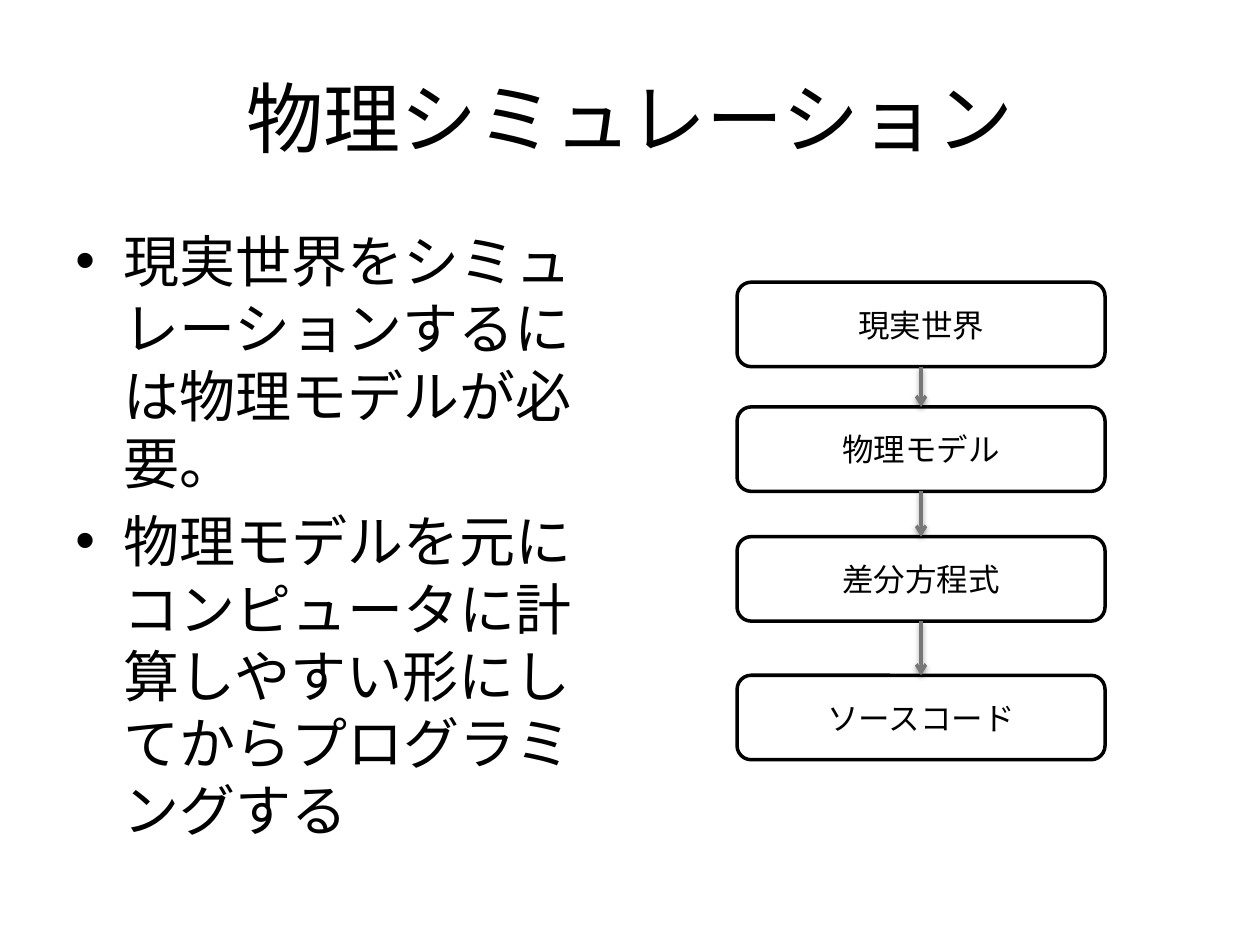
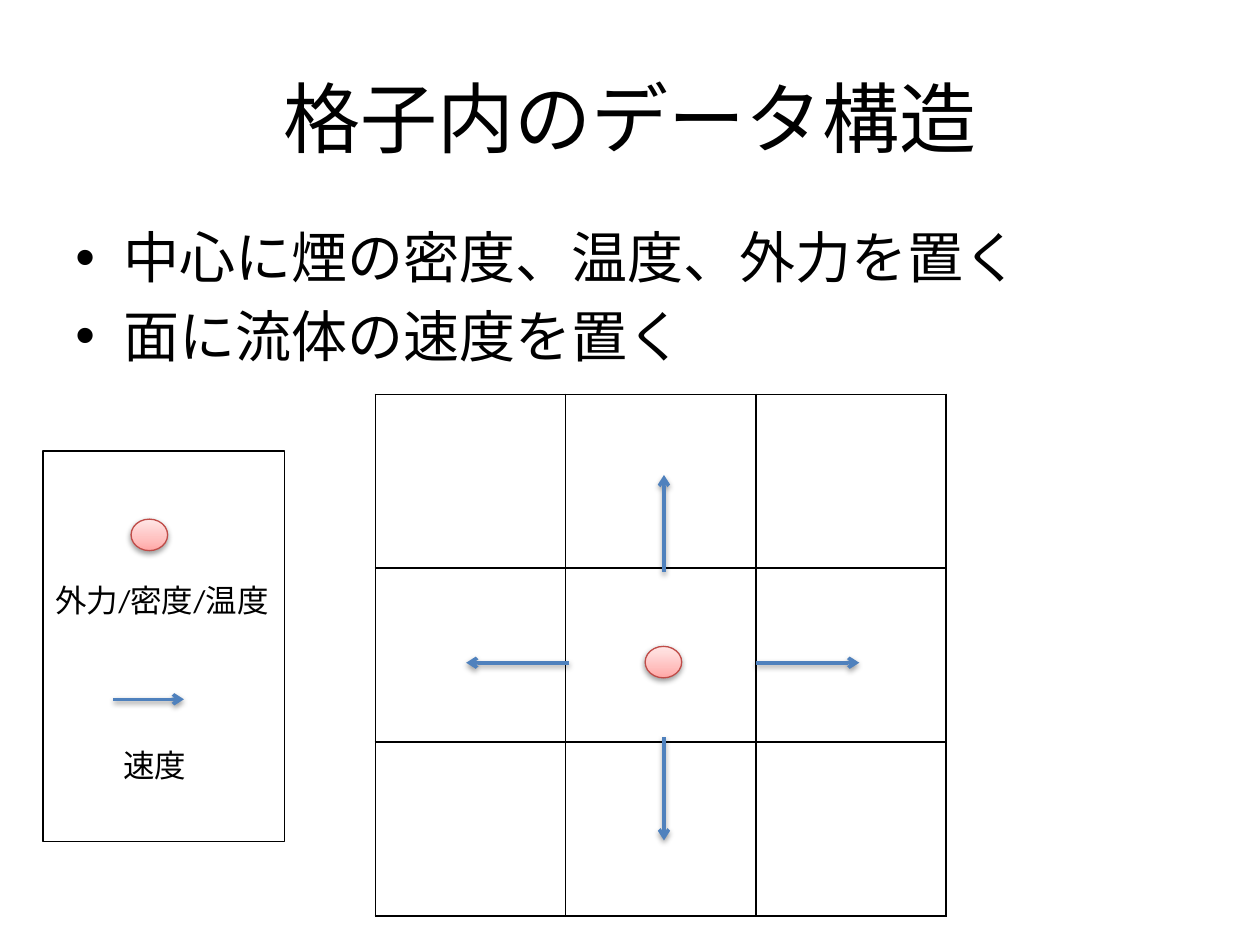
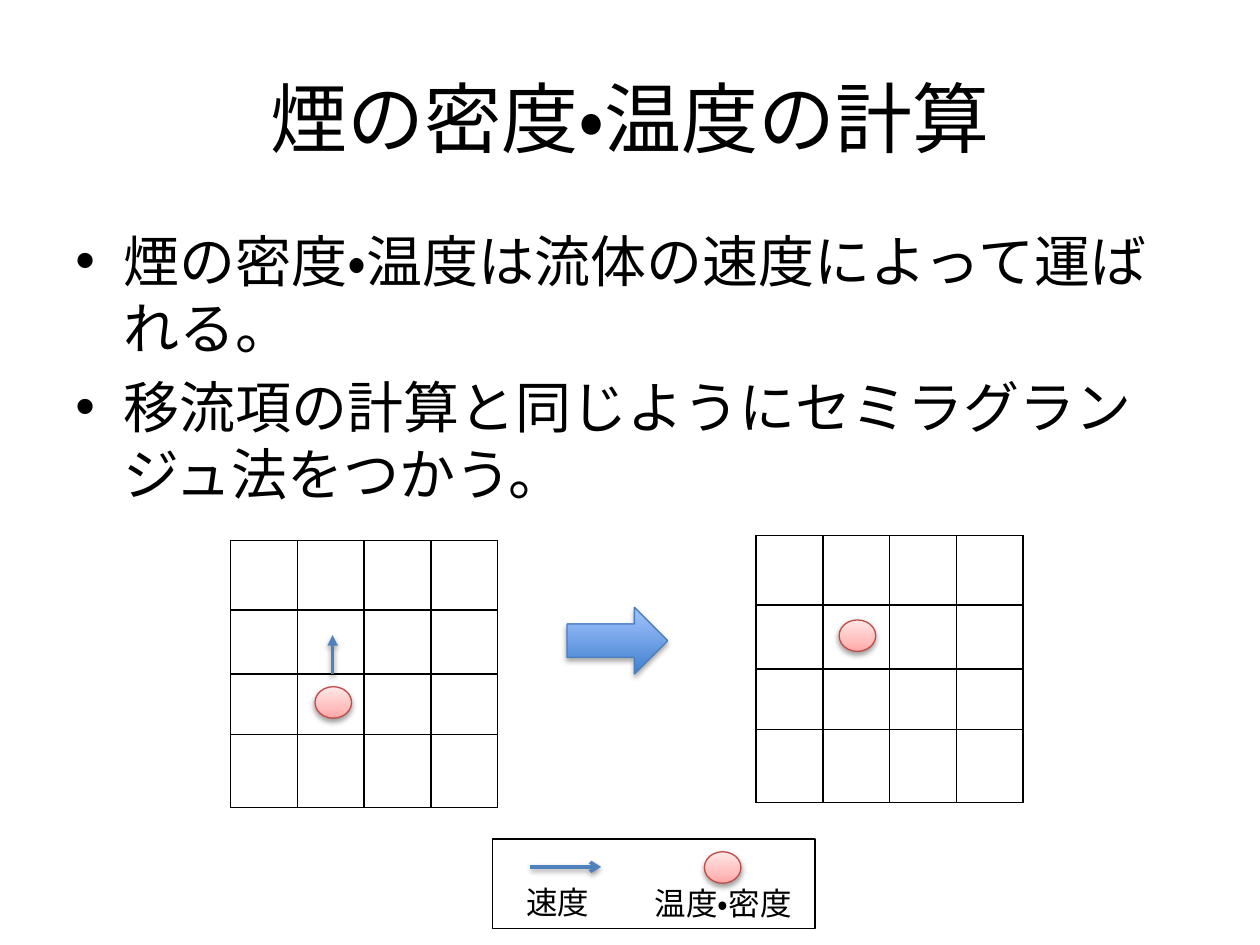
from pptx import Presentation
from pptx import util as u
from pptx.dml import color
from pptx.enum import lang, shapes, text
from pptx.oxml import ns, parse_xml

INK = {
    "black": "000000",
    "white": "FFFFFF",
    "gray": "777777",
    "blue": "4F81BD",
    "edge": "4B7EBC",
    "red": "BF4C48",
}
FADES = {
    "pink": [(0, "FFA6A5"), (35, "FFC0BF"), (100, "FFE7E7")],
    "sky": [(0, "3F80CE"), (100, "A4C4FF")],
}
FONT = {"name": "Calibri", "language_id": lang.MSO_LANGUAGE_ID.JAPANESE}
TITLE = {"size": u.Pt(44), "align": text.PP_ALIGN.CENTER}
BODY = {"size": u.Pt(32), "align": text.PP_ALIGN.LEFT}
LABEL = {"size": u.Pt(18), "align": text.PP_ALIGN.LEFT}
NODE = {"size": u.Pt(18), "align": text.PP_ALIGN.CENTER}
KIND = shapes.MSO_SHAPE


def rgb(name):
    return color.RGBColor.from_string(INK[name])


def inch(*nums):
    return [u.Inches(n) for n in nums]


def node(tag, inner="", **attrs):
    pairs = "".join(f' {key}="{val}"' for key, val in attrs.items())
    return parse_xml(f'<a:{tag} {ns.nsdecls("a")}{pairs}>{inner}</a:{tag}>')


class Deck:
    def __init__(self):
        self.show = Presentation()
        self.show.slide_width, self.show.slide_height = inch(10, 7.5)
        self.slide = None

    def place(self, item, spot):
        for key, val in zip(("left", "top", "width", "height"), inch(*spot)):
            setattr(item, key, val)

    def fill_text(self, frame, lines, form):
        frame.word_wrap = True
        for num, line in enumerate(lines):
            para = frame.add_paragraph() if num else frame.paragraphs[0]
            para.alignment = form["align"]
            run = para.add_run()
            run.text = line
            for key, val in {**FONT, "size": form["size"]}.items():
                setattr(run.font, key, val)
            run.font.color.rgb = rgb("black")

    def page(self, title):
        self.slide = self.show.slides.add_slide(self.show.slide_layouts[5])
        head = self.slide.shapes.title
        self.place(head, (0.5, 0.3, 9, 1.25))
        head.text_frame.vertical_anchor = text.MSO_ANCHOR.MIDDLE
        self.fill_text(head.text_frame, [title], TITLE)

    def points(self, spot, lines):
        frame = self.slide.shapes.add_textbox(*inch(*spot)).text_frame
        self.fill_text(frame, lines, BODY)
        for para in frame.paragraphs:
            para.space_before = u.Pt(6.4)
            props = para._p.get_or_add_pPr()
            props.set("marL", str(u.Inches(0.38)))
            props.set("indent", str(u.Inches(-0.38)))
            props.append(node("buFont", typeface="Arial"))
            props.append(node("buChar", char="•"))

    def label(self, x, y, width, line):
        frame = self.slide.shapes.add_textbox(*inch(x, y, width, 0.4)).text_frame
        self.fill_text(frame, [line], LABEL)
        frame.auto_size = text.MSO_AUTO_SIZE.SHAPE_TO_FIT_TEXT

    def shade(self, item, alpha=38, dist=20000):
        glow = (f'<a:outerShdw blurRad="40000" dist="{dist}" dir="5400000" rotWithShape="0">'
                f'<a:srgbClr val="{INK["black"]}"><a:alpha val="{alpha * 1000}"/>'
                '</a:srgbClr></a:outerShdw>')
        item.element.spPr.append(node("effectLst", glow))

    def shape(self, kind, spot, line, width=0.75, fill=None):
        item = self.slide.shapes.add_shape(kind, *inch(*spot))
        item.line.color.rgb = rgb(line)
        item.line.width = u.Pt(width)
        if fill in FADES:
            stops = "".join(f'<a:gs pos="{pos * 1000}"><a:srgbClr val="{tone}"/></a:gs>'
                            for pos, tone in FADES[fill])
            fade = f'<a:gsLst>{stops}</a:gsLst><a:lin ang="16200000" scaled="0"/>'
            item.element.spPr.insert(2, node("gradFill", fade, rotWithShape=1))
            return item
        item.shadow.inherit = False
        if fill:
            item.fill.solid()
            item.fill.fore_color.rgb = rgb(fill)
        else:
            item.fill.background()
        return item

    def step(self, spot, line):
        item = self.shape(KIND.FLOWCHART_ALTERNATE_PROCESS, spot, "black", 2, "white")
        item.text_frame.vertical_anchor = text.MSO_ANCHOR.MIDDLE
        self.fill_text(item.text_frame, [line], NODE)
        return item

    def dot(self, x, y):
        self.shade(self.shape(KIND.OVAL, (x, y, 0.29, 0.25), "red", fill="pink"))

    def arrow(self, start, end, tone="blue", tip="arrow"):
        item = self.slide.shapes.add_connector(
            shapes.MSO_CONNECTOR.STRAIGHT, *inch(*start, *end))
        item.line.color.rgb = rgb(tone)
        item.line.width = u.Pt(2)
        item.element.spPr.find(ns.qn("a:ln")).append(node("tailEnd", type=tip))
        self.shade(item)
        return item

    def grid(self, x, y, cols, rows, fill=None):
        area = inch(x, y, sum(cols), sum(rows))
        table = self.slide.shapes.add_table(len(rows), len(cols), *area).table
        table.first_row = table.horz_banding = False
        for col, width in zip(table.columns, cols):
            col.width = u.Inches(width)
        for row, height in zip(table.rows, rows):
            row.height = u.Inches(height)
        ink = f'<a:solidFill><a:srgbClr val="{INK["black"]}"/></a:solidFill>'
        for cell in table.iter_cells():
            if fill:
                cell.fill.solid()
                cell.fill.fore_color.rgb = rgb(fill)
            else:
                cell.fill.background()
            props = cell._tc.get_or_add_tcPr()
            for num, side in enumerate("LRTB"):
                props.insert(num, node("ln" + side, ink, w=u.Pt(1)))


def model(deck):
    deck.page("物理シミュレーション")
    deck.points((0.5, 1.75, 4.45, 4.95), [
        "現実世界をシミュレーションするには物理モデルが必要。",
        "物理モデルを元にコンピュータに計算しやすい形にしてからプログラミングする",
    ])
    names = ["現実世界", "物理モデル", "差分方程式", "ソースコード"]
    tops = [2.24, 3.23, 4.26, 5.36]
    steps = [deck.step((5.85, top, 2.92, 0.67), name) for name, top in zip(names, tops)]
    for above, below in zip(steps, steps[1:]):
        link = deck.arrow((7.31, 2.91), (7.31, 3.23), "gray")
        link.begin_connect(above, 2)
        link.end_connect(below, 0)


def cells(deck):
    deck.page("格子内のデータ構造")
    deck.points((0.5, 1.72, 9, 4.95), [
        "中心に煙の密度、温度、外力を置く",
        "面に流体の速度を置く",
    ])
    deck.grid(2.98, 3.13, [1.51] * 3, [1.38] * 3, "white")
    deck.dot(1.04, 4.12)
    flows = [
        ((5.27, 4.54), (5.27, 3.77)),
        ((6, 5.26), (6.82, 5.26)),
        ((4.52, 5.26), (3.7, 5.26)),
        ((5.27, 5.85), (5.27, 6.67)),
        ((0.9, 5.55), (1.46, 5.55)),
    ]
    for start, end in flows:
        deck.arrow(start, end)
    deck.label(0.34, 4.56, 1.92, "外力/密度/温度")
    deck.dot(5.12, 5.13)
    deck.label(0.88, 5.87, 0.91, "速度")
    deck.shape(KIND.RECTANGLE, (0.34, 3.58, 1.92, 3.1), "black")


def smoke(deck):
    deck.page("煙の密度・温度の計算")
    cols, rows = [0.53] * 4, [0.55, 0.51, 0.48, 0.58]
    deck.grid(1.83, 4.29, cols, rows)
    deck.points((0.5, 1.75, 9, 4.95), [
        "煙の密度・温度は流体の速度によって運ばれる。",
        "移流項の計算と同じようにセミラグランジュ法をつかう。",
    ])
    block = deck.shape(KIND.RIGHT_ARROW, (4.5, 4.82, 0.8, 0.53), "edge", fill="sky")
    deck.shade(block, 35, 23000)
    deck.arrow((2.64, 5.35), (2.64, 5.04), tip="triangle")
    deck.grid(6, 4.25, cols, rows, "white")
    for spot in [(2.5, 5.45), (5.59, 6.76), (6.66, 4.92)]:
        deck.dot(*spot)
    deck.label(5.1, 6.97, 1.37, "温度・密度")
    deck.arrow((4.21, 6.88), (4.77, 6.88))
    deck.label(4.08, 6.96, 0.91, "速度")
    deck.shape(KIND.RECTANGLE, (3.91, 6.66, 2.56, 0.71), "black")


def main():
    deck = Deck()
    for build in (model, cells, smoke):
        build(deck)
    deck.show.save("out.pptx")


if __name__ == "__main__":
    main()
